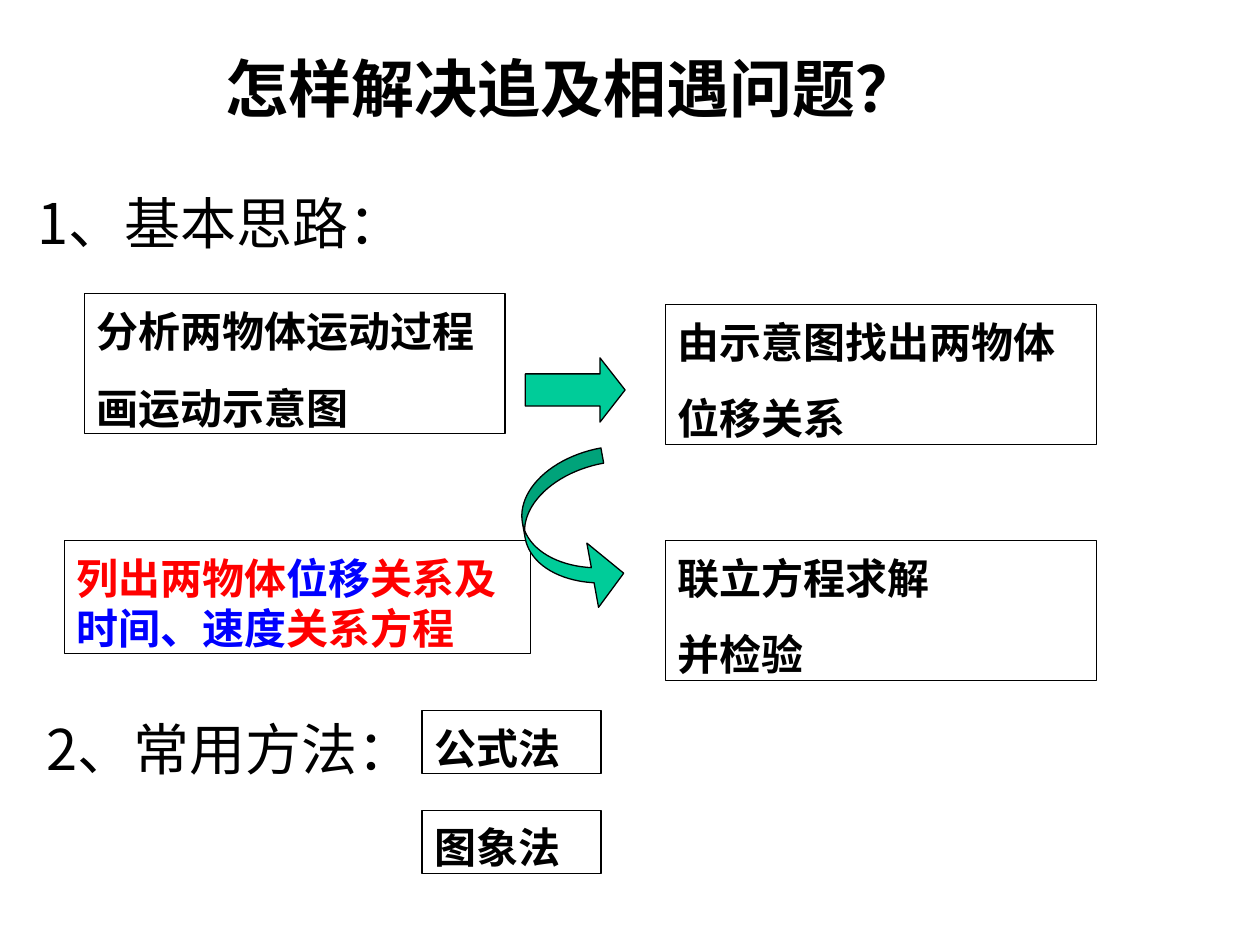
import pptx
import pptx.util
import pptx.dml.color
import pptx.enum.shapes
import pptx.enum.text
import pptx.oxml.ns
import lxml.etree

Pt = pptx.util.Pt
KIND = pptx.enum.shapes.MSO_SHAPE
FONT = "Noto Sans CJK SC"
BLACK, RED, BLUE, GREEN = "000000", "FF0000", "0000FF", "00CC99"


def color(hue):
    return pptx.dml.color.RGBColor.from_string(hue)


def add_run(para, text, size, bold, hue=BLACK):
    run = para.add_run()
    run.text = text
    font = run.font
    font.name, font.size, font.bold = FONT, Pt(size), bold
    font.color.rgb = color(hue)
    east = lxml.etree.SubElement(font._element, pptx.oxml.ns.qn("a:ea"))
    east.set("typeface", FONT)


def fill_text(shape, lines, size, bold):
    """Each line is a list of (text, hue) or (text,) runs."""
    frame = shape.text_frame
    frame.word_wrap = True
    frame.vertical_anchor = pptx.enum.text.MSO_ANCHOR.TOP
    frame.margin_left = frame.margin_right = Pt(7.2)
    # The tight line pitch lifts the first line; the top inset sets it back
    frame.margin_top = Pt(round(3.6 + 0.13 * size, 2))
    frame.margin_bottom = Pt(0)
    for num, runs in enumerate(lines):
        para = frame.add_paragraph() if num else frame.paragraphs[0]
        para.alignment = pptx.enum.text.PP_ALIGN.LEFT
        para.line_spacing = Pt(round(1.2 * size, 1))
        if num:
            para.space_before = Pt(15)
        for run in runs:
            add_run(para, run[0], size, bold, *run[1:])


def add_head(slide, box, text, size, bold=False):
    shape = slide.shapes.add_textbox(*map(Pt, box))
    fill_text(shape, [[(text,)]], size, bold)


def add_form(slide, kind, box, fill=None):
    shape = slide.shapes.add_shape(kind, *map(Pt, box))
    shape.shadow.inherit = False
    shape.line.color.rgb = color(BLACK)
    shape.line.width = Pt(0.75)
    if fill:
        shape.fill.solid()
        shape.fill.fore_color.rgb = color(fill)
    else:
        shape.fill.background()
    return shape


def add_card(slide, box, *lines):
    fill_text(add_form(slide, KIND.RECTANGLE, box), lines, 24, True)


def add_flow(slide, box):
    left, top, width, height = box
    right = left + 343.4
    wide = left + width - right

    # Four steps
    add_card(slide, (left + 11.5, top, 240.5, 80),
             [("分析两物体运动过程",)], [("画运动示意图",)])
    add_card(slide, (right, top + 6.2, wide, 80),
             [("由示意图找出两物体",)], [("位移关系",)])
    add_card(slide, (left, top + 141, 266.4, 64.8),
             [("列出两物体", RED), ("位移", BLUE), ("关系及", RED),
              ("时间、速度", BLUE), ("关系方程", RED)])
    add_card(slide, (right, top + 141, wide, 80),
             [("联立方程求解",)], [("并检验",)])

    # Straight arrow, then the curved one
    arrow = add_form(slide, KIND.RIGHT_ARROW,
                     (left + 263.5, top + 36.7, 57, 36.7), GREEN)
    arrow.adjustments[0], arrow.adjustments[1] = 0.5, 0.39
    curve = add_form(slide, KIND.CURVED_RIGHT_ARROW,
                     (left + 263.5, top + 92.1, 51.8, 91.4), GREEN)
    for num, part in enumerate((0.17, 0.72, 0.34)):
        curve.adjustments[num] = part
    curve.rotation = 349.7


def add_ways(slide, box):
    left, top, width, height = box
    add_head(slide, (left, top, 238.3, 46), "2、常用方法：", 32)
    for num, text in enumerate(("公式法", "图象法")):
        add_card(slide, (left + width - 102.2, top + 5.8 + 56.9 * num,
                         102.2, 36), [(text,)])


def main():
    deck = pptx.Presentation()
    deck.slide_width, deck.slide_height = Pt(720), Pt(540)
    slide = deck.slides.add_slide(deck.slide_layouts[6])
    # Title and first heading
    add_head(slide, (121.7, 20.2, 575.3, 50.4), "怎样解决追及相遇问题？", 36, True)
    add_head(slide, (14.4, 100, 238.3, 46), "1、基本思路：", 32)
    # Steps, then methods
    add_flow(slide, (36.7, 167.8, 589.7, 221))
    add_ways(slide, (19.4, 400.3, 324, 98.7))
    deck.save("out.pptx")


if __name__ == "__main__":
    main()
